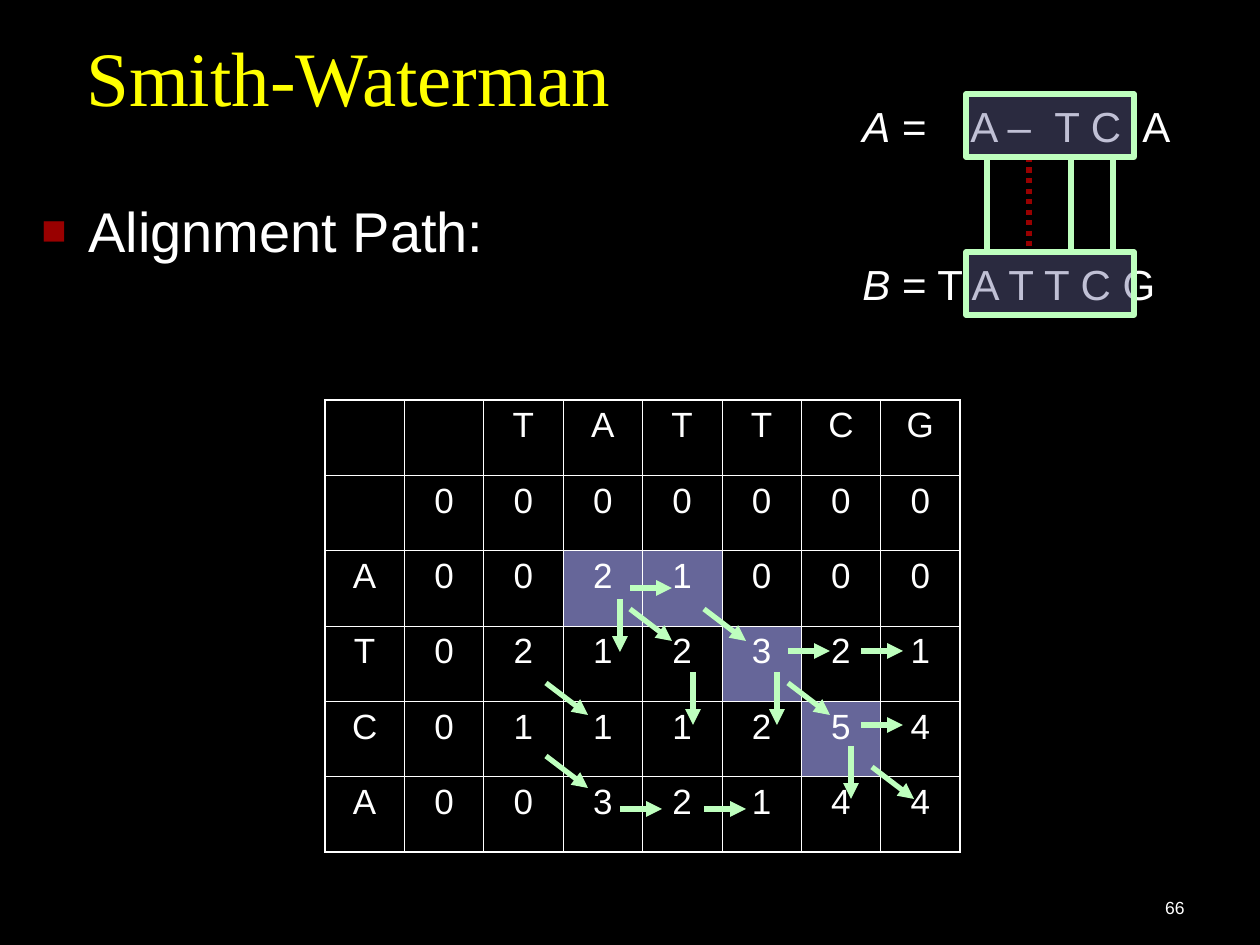
from lxml import etree
from pptx import Presentation
from pptx.dml.color import RGBColor
from pptx.enum.dml import MSO_LINE
from pptx.enum.shapes import MSO_CONNECTOR, MSO_SHAPE
from pptx.enum.text import MSO_ANCHOR, PP_ALIGN
from pptx.oxml.ns import qn
from pptx.util import Emu, Pt

STRAIGHT = MSO_CONNECTOR.STRAIGHT
RECT = MSO_SHAPE.RECTANGLE
DOTTED = MSO_LINE.ROUND_DOT
TOP, BOTTOM = MSO_ANCHOR.TOP, MSO_ANCHOR.BOTTOM
CENTER, RIGHT = PP_ALIGN.CENTER, PP_ALIGN.RIGHT

PX_PER_INCH = 126
BLACK, WHITE, YELLOW = "000000", "FFFFFF", "FFFF00"
GREEN, RED, VIOLET = "BEFFBE", "990000", "666699"
SANS, SERIF = "Arial", "Times New Roman"

# Score matrix, its highlighted path and the arrows by direction
SCORES = [
    ["", "", "T", "A", "T", "T", "C", "G"],
    ["", "0", "0", "0", "0", "0", "0", "0"],
    ["A", "0", "0", "2", "1", "0", "0", "0"],
    ["T", "0", "2", "1", "2", "3", "2", "1"],
    ["C", "0", "1", "1", "1", "2", "5", "4"],
    ["A", "0", "0", "3", "2", "1", "4", "4"],
]
PATH_CELLS = {(2, 3), (2, 4), (3, 5), (4, 6)}
ARROWS = {  # (dx, dy): starts relative to the matrix
    (42, 32): [(221, 284), (305, 210), (379, 210), (463, 284), (221, 357), (547, 368)],
    (0, 53): [(295, 200), (368, 273), (452, 273), (526, 347)],
    (42, 0): [(305, 189), (463, 252), (536, 326), (536, 252), (295, 410), (379, 410)],
}


def px(n):
    return Emu(round(n * 914400 / PX_PER_INCH))


def rgb(value):
    return RGBColor.from_string(value)


def add_xml(parent, tag, **attrs):
    return etree.SubElement(parent, qn(tag), attrs)


def add_run(p, text, size, color=WHITE, name=SANS, **extra):
    r = p.add_run()
    r.text = text
    for key, value in {"size": Pt(size), "name": name, **extra}.items():
        setattr(r.font, key, value)
    r.font.color.rgb = rgb(color)


def add_box(slide, x, y, w, h, anchor=TOP):
    tf = slide.shapes.add_textbox(px(x), px(y), px(w), px(h)).text_frame
    tf.word_wrap = True
    tf.vertical_anchor = anchor
    return tf.paragraphs[0]


def add_line(slide, x1, y1, x2, y2, color=GREEN, dash=None, arrow=False):
    line = slide.shapes.add_connector(STRAIGHT, px(x1), px(y1), px(x2), px(y2))
    line.line.color.rgb = rgb(color)
    line.line.width = Pt(3)
    if dash:
        line.line.dash_style = dash
    if arrow:
        add_xml(line.line._get_or_add_ln(), "a:tailEnd", type="triangle")
    add_xml(line._element.spPr, "a:effectLst")


def add_title(slide, x, y, w, h):
    p = add_box(slide, x, y, w, h, BOTTOM)
    p.line_spacing = 0.8
    add_run(p, "Smith-Waterman", 44, YELLOW, SERIF)


def add_bullet(slide, x, y, w, h):
    p = add_box(slide, x, y, w, h)
    pPr = p._p.get_or_add_pPr()
    indent = px(47)
    pPr.set("marL", str(indent))
    pPr.set("indent", str(-indent))
    add_xml(add_xml(pPr, "a:buClr"), "a:srgbClr", val=RED)
    add_xml(pPr, "a:buSzPct", val="75000")
    add_xml(pPr, "a:buFont", typeface=SANS)
    add_xml(pPr, "a:buChar", char="■")
    add_run(p, "Alignment Path:", 32)


def set_border(cell, side, width):
    ln = add_xml(cell._tc.get_or_add_tcPr(), f"a:ln{side}", w=str(Pt(width)))
    add_xml(add_xml(ln, "a:solidFill"), "a:srgbClr", val=WHITE)


def add_matrix(slide, x, y, w, h):
    rows, cols = len(SCORES), len(SCORES[0])
    table = slide.shapes.add_table(rows, cols, px(x), px(y), px(w), px(h)).table
    table.first_row = table.horz_banding = False
    for col in table.columns:
        col.width = px(w / cols)
    for row in table.rows:
        row.height = px(h / rows)

    for i, values in enumerate(SCORES):
        for j, value in enumerate(values):
            cell = table.cell(i, j)
            outer = {"L": j == 0, "R": j == cols - 1, "T": i == 0, "B": i == rows - 1}
            for side, is_outer in outer.items():
                set_border(cell, side, 1.08 if is_outer else 0.45)
            if (i, j) in PATH_CELLS:
                cell.fill.solid()
                cell.fill.fore_color.rgb = rgb(VIOLET)
            else:
                cell.fill.background()
            p = cell.text_frame.paragraphs[0]
            p.alignment = CENTER
            if value:
                add_run(p, value, 20)


def add_arrows(slide, x, y):
    for (dx, dy), starts in ARROWS.items():
        for sx, sy in starts:
            add_line(slide, x + sx, y + sy, x + sx + dx, y + sy + dy, arrow=True)


def add_sequence(slide, x, y, w, h, name, text, tabs=()):
    p = add_box(slide, x, y, w, h)
    if tabs:
        tab_list = add_xml(p._p.get_or_add_pPr(), "a:tabLst")
        for pos in tabs:
            add_xml(tab_list, "a:tab", pos=str(px(pos)), algn="l")
    add_run(p, name, 24, italic=True)
    add_run(p, text, 24, italic=False)


def add_frame(slide, x, y, w, h):
    sp = slide.shapes.add_shape(RECT, px(x), px(y), px(w), px(h))
    sp.shadow.inherit = False
    sp.fill.solid()
    sp.fill.fore_color.rgb = rgb(VIOLET)
    color = sp._element.spPr.find(qn("a:solidFill")).find(qn("a:srgbClr"))
    add_xml(color, "a:alpha", val="41000")
    sp.line.color.rgb = rgb(GREEN)
    sp.line.width = Pt(3)


def add_alignment(slide, x, y, w, h):
    row_h = 63
    lower = y + h - row_h
    add_sequence(slide, x, y, w, row_h, "A", " =\tA –\tT C\tA", (108, 192, 280))
    add_sequence(slide, x, lower, w, row_h, "B", " = T A T T C G")
    # Matches in green, the gap dotted red
    for dx in (137, 221, 263):
        add_line(slide, x + dx, y + row_h, x + dx, lower)
    add_line(slide, x + 179, y + row_h, x + 179, lower, RED, DOTTED)
    for top in (y, lower):
        add_frame(slide, x + 116, top, 168, row_h)


def add_page_number(slide, x, y, w, h):
    p = add_box(slide, x, y, w, h, BOTTOM)
    p.alignment = RIGHT
    add_run(p, "66", 10)


def main():
    prs = Presentation()
    prs.slide_width, prs.slide_height = px(1260), px(945)
    slide = prs.slides.add_slide(prs.slide_layouts[6])
    slide.background.fill.solid()
    slide.background.fill.fore_color.rgb = rgb(BLACK)

    add_title(slide, 74, 29, 1124, 98)
    add_matrix(slide, 325, 400, 635, 452)
    add_bullet(slide, 29, 190, 1231, 450)
    add_arrows(slide, 325, 399)
    add_alignment(slide, 850, 94, 378, 221)
    add_page_number(slide, 935, 861, 262, 63)
    prs.save("out.pptx")


if __name__ == "__main__":
    main()
